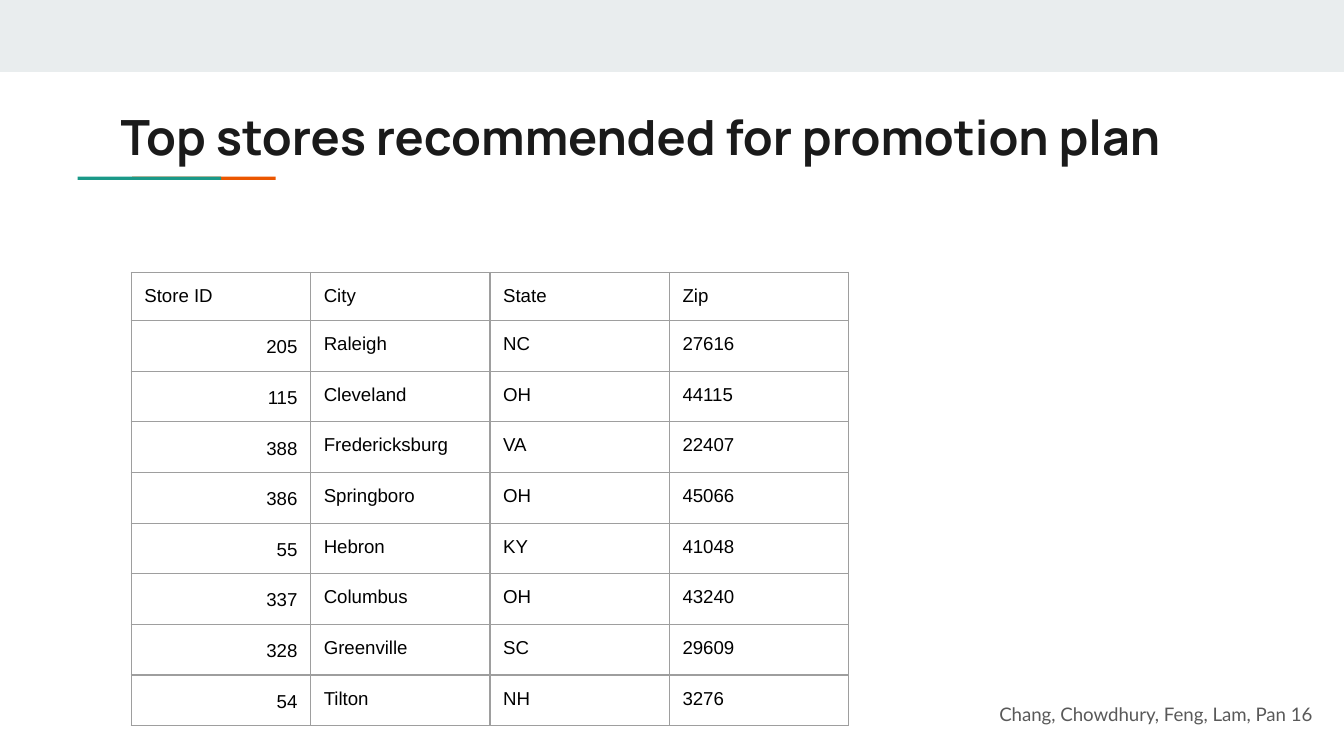
from lxml import etree
from pptx import Presentation
from pptx.dml.color import RGBColor
from pptx.enum import shapes, text
from pptx.oxml import ns
from pptx.util import Cm, Pt

PALE = RGBColor(0xE9, 0xED, 0xEE)
TEAL = RGBColor(0x1A, 0x99, 0x88)
ORANGE = RGBColor(0xEB, 0x56, 0x00)
INK = RGBColor(0x1A, 0x1A, 0x1A)
BLACK = RGBColor(0, 0, 0)
GREY = RGBColor(0x59, 0x59, 0x59)
RULE = RGBColor(0x9E, 0x9E, 0x9E)
INSET = Cm(0.25)

STORES = [
    ("Store ID", "City", "State", "Zip"),
    ("205", "Raleigh", "NC", "27616"),
    ("115", "Cleveland", "OH", "44115"),
    ("388", "Fredericksburg", "VA", "22407"),
    ("386", "Springboro", "OH", "45066"),
    ("55", "Hebron", "KY", "41048"),
    ("337", "Columbus", "OH", "43240"),
    ("328", "Greenville", "SC", "29609"),
    ("54", "Tilton", "NH", "3276"),
]


def style(para, face, size, color, bold=False):
    font = para.font
    font.name, font.size, font.bold = face, Pt(size), bold
    font.color.rgb = color


def pad(item):
    item.margin_left = item.margin_right = INSET
    item.margin_top = item.margin_bottom = INSET


def add_bar(slide, box, color):
    bar = slide.shapes.add_shape(shapes.MSO_SHAPE.RECTANGLE, *box)
    bar.shadow.inherit = False
    bar.fill.solid()
    bar.fill.fore_color.rgb = color
    bar.line.fill.background()


def add_accent(slide, left, top, width, height):
    step = Cm(1.03)
    for shift, color in ((step, ORANGE), (0, TEAL)):
        add_bar(slide, (left + shift, top, width - step, height), color)


def set_title(slide, left, top, width, height):
    title = slide.shapes.title
    title.left, title.top, title.width, title.height = left, top, width, height
    frame = title.text_frame
    frame.text = "Top stores recommended for promotion plan"
    frame.word_wrap = True
    frame.auto_size = text.MSO_AUTO_SIZE.NONE
    frame.vertical_anchor = text.MSO_ANCHOR.TOP
    pad(frame)
    para = frame.paragraphs[0]
    para.alignment = text.PP_ALIGN.LEFT
    style(para, "Manrope", 26, INK, True)


def add_edges(cell):
    props = cell._tc.get_or_add_tcPr()
    for side in ("lnL", "lnR", "lnT", "lnB"):
        line = etree.SubElement(props, ns.qn("a:" + side), w=str(Pt(0.75)))
        fill = etree.SubElement(line, ns.qn("a:solidFill"))
        etree.SubElement(fill, ns.qn("a:srgbClr"), val=str(RULE))


def add_stores(slide, left, top, width, height):
    rows, cols = len(STORES), len(STORES[0])
    table = slide.shapes.add_table(rows, cols, left, top, width, height).table
    table.first_row = table.horz_banding = False
    head = Cm(0.91)
    for i, row in enumerate(STORES):
        table.rows[i].height = head if i == 0 else (height - head) // (rows - 1)
        for j, value in enumerate(row):
            cell = table.cell(i, j)
            cell.text = value
            pad(cell)
            add_edges(cell)
            cell.fill.background()
            para = cell.text_frame.paragraphs[0]
            style(para, "Arial", 10, BLACK)
            if i and j == 0:
                para.alignment = text.PP_ALIGN.RIGHT
                para.line_spacing = 1.15


def add_footer(slide, left, top, width, height):
    frame = slide.shapes.add_textbox(left, top, width, height).text_frame
    frame.text = "Chang, Chowdhury, Feng, Lam, Pan 16"
    frame.word_wrap = True
    frame.vertical_anchor = text.MSO_ANCHOR.MIDDLE
    pad(frame)
    para = frame.paragraphs[0]
    para.alignment = text.PP_ALIGN.RIGHT
    style(para, "Lato", 10, GREY)


def main():
    deck = Presentation()
    deck.slide_width, deck.slide_height = Cm(25.4), Cm(14.29)
    slide = deck.slides.add_slide(deck.slide_layouts[5])
    add_bar(slide, (0, 0, deck.slide_width, Cm(1.36)), PALE)
    add_accent(slide, Cm(1.47), Cm(3.34), Cm(3.74), Cm(0.06))
    set_title(slide, Cm(2.03), Cm(1.78), Cm(21.36), Cm(3.38))
    add_stores(slide, Cm(2.48), Cm(5.15), Cm(13.56), Cm(8.57))
    add_footer(slide, Cm(17.23), Cm(12.95), Cm(7.82), Cm(1.09))
    deck.save("out.pptx")


if __name__ == "__main__":
    main()
